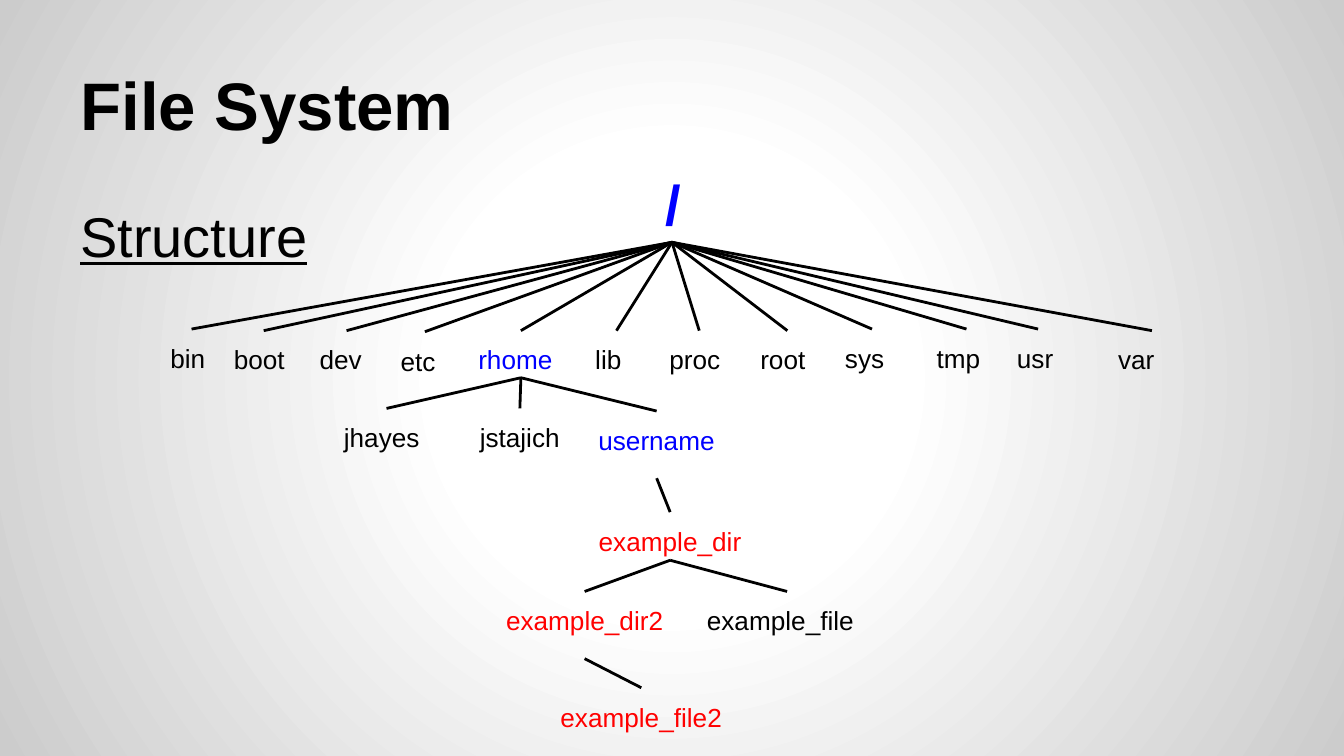
from dataclasses import dataclass

from pptx import Presentation
from pptx.dml.color import RGBColor
from pptx.enum.shapes import MSO_CONNECTOR
from pptx.enum.text import MSO_ANCHOR, MSO_AUTO_SIZE, PP_ALIGN
from pptx.oxml import parse_xml
from pptx.oxml.ns import nsdecls
from pptx.oxml.xmlchemy import OxmlElement
from pptx.util import Cm, Pt

BLACK, BLUE, RED = "000000", "0000FF", "FF0000"
LEFT, CENTER = PP_ALIGN.LEFT, PP_ALIGN.CENTER
ROOT = "/"


@dataclass
class Entry:
    """A file or directory; its box is measured in centimetres."""
    name: str
    parent: str
    left: float
    top: float
    width: float
    height: float = 1.27
    color: str = BLACK
    align: PP_ALIGN = CENTER

    @property
    def middle(self):
        return self.left + self.width / 2

    @property
    def bottom(self):
        return self.top + self.height


# name, left, top, width
TOP_LEVEL = [
    ("bin", 2.97, 6.22, 1.3),
    ("boot", 4.17, 6.25, 1.63),
    ("dev", 5.79, 6.25, 1.52),
    ("etc", 7.32, 6.27, 1.42),
    ("rhome", 8.79, 6.25, 2.11),
    ("lib", 11, 6.25, 1.3),
    ("proc", 12.4, 6.25, 1.63),
    ("root", 14.12, 6.25, 1.52),
    ("sys", 15.72, 6.22, 1.52),
    ("tmp", 17.45, 6.22, 1.63),
    ("usr", 18.97, 6.22, 1.3),
    ("var", 20.88, 6.25, 1.78),
]

DEEPER_LEVELS = [
    Entry("jhayes", "rhome", 6.25, 7.72, 2.11, align=LEFT),
    Entry("jstajich", "rhome", 8.48, 7.72, 2.69),
    Entry("username", "rhome", 10.77, 7.77, 3.28, color=BLUE),
    Entry("example_dir", "username", 10.72, 9.68, 3.89, 0.91, RED),
    Entry("example_dir2", "example_dir", 9.02, 11.18, 4.06, color=RED),
    Entry("example_file", "example_dir", 13.11, 11.18, 3.53, align=LEFT),
    Entry("example_file2", "example_dir2", 9.63, 13, 4.98, color=RED),
]


def rgb(color):
    return RGBColor.from_string(color)


def set_background(slide, stops):
    """Fill the slide with a gradient that spreads from its centre."""
    stop_xml = "".join(
        f'<a:gs pos="{percent * 1000}"><a:srgbClr val="{color}"/></a:gs>'
        for percent, color in stops)
    slide.element.cSld.insert(0, parse_xml(
        f'<p:bg {nsdecls("p", "a")}><p:bgPr><a:gradFill><a:gsLst>{stop_xml}</a:gsLst>'
        '<a:path path="circle"><a:fillToRect l="50000" t="50000" r="50000" b="50000"/>'
        '</a:path></a:gradFill><a:effectLst/></p:bgPr></p:bg>'))


def write_text(frame, text, size, color=BLACK, align=LEFT, anchor=MSO_ANCHOR.TOP,
               bold=False, underline=False):
    frame.text = text
    frame.word_wrap = True
    frame.auto_size = MSO_AUTO_SIZE.NONE
    frame.vertical_anchor = anchor
    frame.margin_left = frame.margin_right = Cm(0.25)
    frame.margin_top = frame.margin_bottom = Cm(0.25)
    paragraph = frame.paragraphs[0]
    paragraph.alignment = align
    font = paragraph.font
    font.name, font.size = "Arial", Pt(size)
    font.bold, font.underline = bold, underline
    font.color.rgb = rgb(color)


def add_title(slide, text):
    title = slide.shapes.title
    title.left, title.top = Cm(1.27), Cm(0.58)
    title.width, title.height = Cm(22.86), Cm(2.39)
    write_text(title.text_frame, text, 36, anchor=MSO_ANCHOR.BOTTOM, bold=True)


def add_label(slide, text, left, top, width, height, size, **style):
    box = slide.shapes.add_textbox(Cm(left), Cm(top), Cm(width), Cm(height))
    write_text(box.text_frame, text, size, **style)


def add_entry(slide, entry):
    is_root = entry.name == ROOT
    add_label(slide, entry.name, entry.left, entry.top, entry.width, entry.height,
              size=30 if is_root else 14, color=entry.color, align=entry.align,
              bold=is_root)


def add_branch(slide, parent, child):
    branch = slide.shapes.add_connector(
        MSO_CONNECTOR.STRAIGHT, Cm(parent.middle), Cm(parent.bottom),
        Cm(child.middle), Cm(child.top))
    branch.line.color.rgb = rgb(BLACK)
    branch.line.width = Pt(1.5)
    branch.element.spPr.append(OxmlElement("a:effectLst"))


def list_entries():
    root = Entry(ROOT, "", 12.32, 2.95, 0.76, 1.63, BLUE, LEFT)
    top_level = [
        Entry(name, ROOT, left, top, width, 0.89,
              BLUE if name == "rhome" else BLACK, LEFT)
        for name, left, top, width in TOP_LEVEL]
    return [root, *top_level, *DEEPER_LEVELS]


def main():
    presentation = Presentation()
    presentation.slide_width, presentation.slide_height = Cm(25.4), Cm(14.29)
    slide = presentation.slides.add_slide(presentation.slide_layouts[5])
    set_background(slide, [(0, "FFFFFF"), (30, "FFFFFF"), (100, "CCCCCC")])
    add_title(slide, "File System")
    add_label(slide, "Structure", 1.27, 3.56, 7.11, 1.52, size=30, underline=True)

    entries = {entry.name: entry for entry in list_entries()}
    for entry in entries.values():
        add_entry(slide, entry)
        if entry.parent:
            add_branch(slide, entries[entry.parent], entry)
    presentation.save("out.pptx")


if __name__ == "__main__":
    main()
